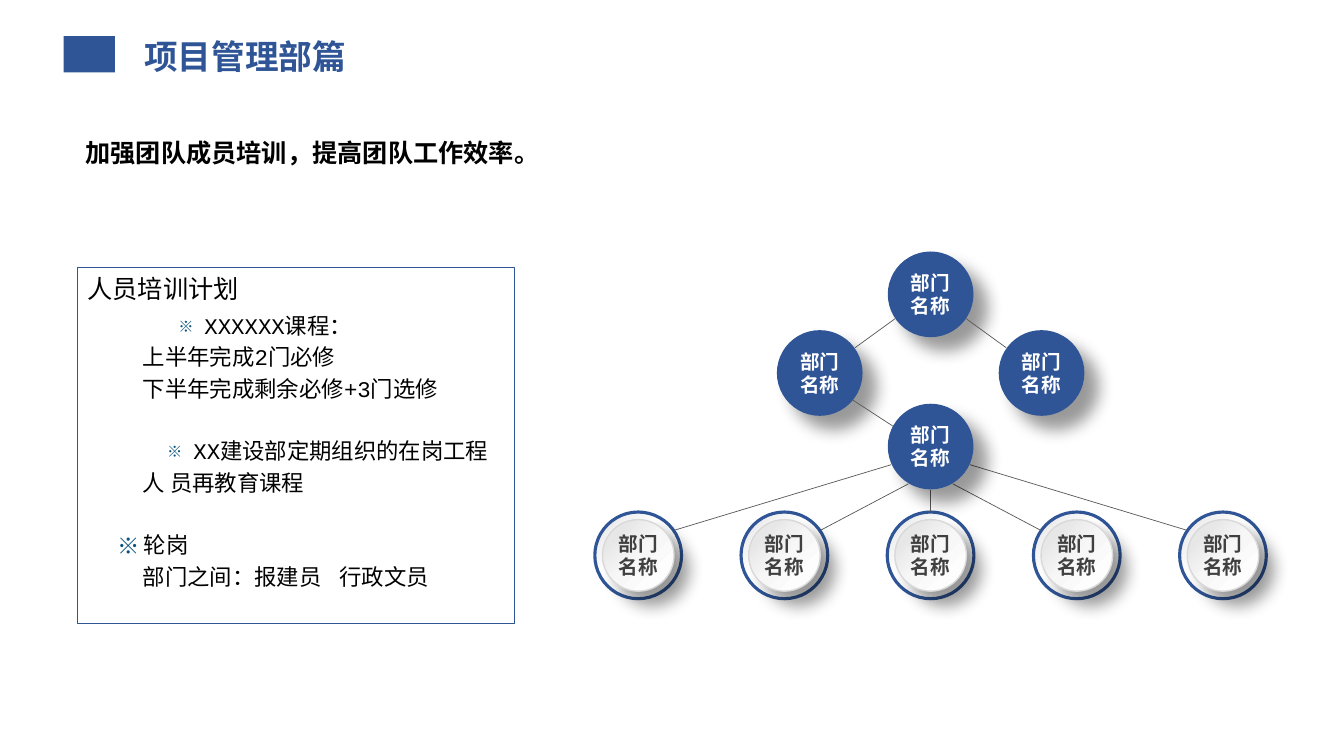
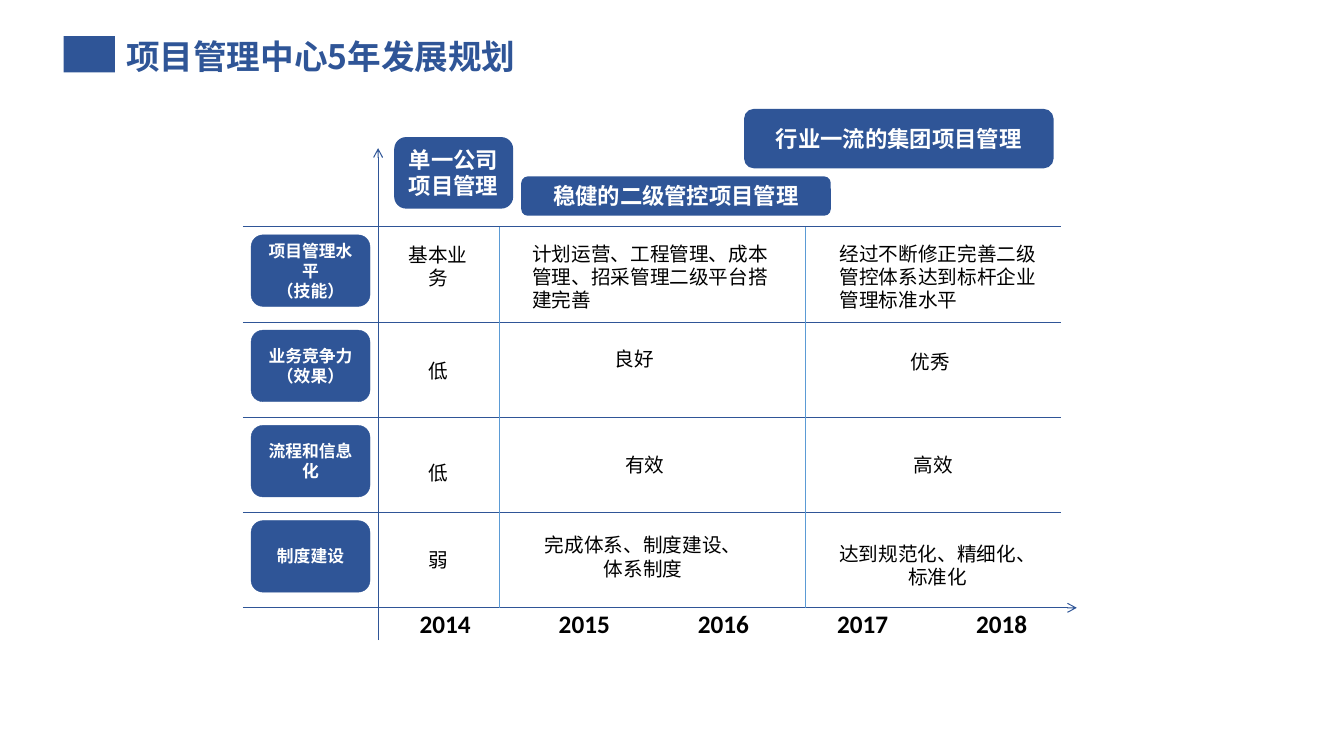
from lxml import etree
from pptx import Presentation
from pptx.dml.color import RGBColor
from pptx.enum.shapes import MSO_CONNECTOR, MSO_SHAPE
from pptx.enum.text import MSO_ANCHOR, MSO_AUTO_SIZE, PP_ALIGN
from pptx.oxml import parse_xml
from pptx.oxml.ns import nsdecls, qn
from pptx.util import Inches, Pt

STRAIGHT = MSO_CONNECTOR.STRAIGHT
RECTANGLE, ROUNDED, OVAL = MSO_SHAPE.RECTANGLE, MSO_SHAPE.ROUNDED_RECTANGLE, MSO_SHAPE.OVAL
TOP, MIDDLE = MSO_ANCHOR.TOP, MSO_ANCHOR.MIDDLE
LEFT, CENTER = PP_ALIGN.LEFT, PP_ALIGN.CENTER
FIXED_SIZE = MSO_AUTO_SIZE.NONE

BLUE = RGBColor(0x2F, 0x55, 0x97)
LIGHT_BLUE = RGBColor(0x5B, 0x9B, 0xD5)
MARK_BLUE = RGBColor(0x08, 0x51, 0x7E)
WHITE = RGBColor(0xFF, 0xFF, 0xFF)
BLACK = RGBColor(0x00, 0x00, 0x00)
DARK_GRAY = RGBColor(0x40, 0x40, 0x40)
LINK_GRAY = RGBColor(0x59, 0x59, 0x59)
EDGE_GRAY = RGBColor(0xD9, 0xD9, 0xD9)
RING_STOPS = [(10, "E9E9E9"), (41, "FFFFFF"), (100, "FFFFFF")]
DISC_STOPS = [(20, "FDFDFD"), (49, "F7F7F7"), (80, "E7E7E7")]

SANS, CALIBRI, COURIER = "Noto Sans CJK SC", "Calibri", "Courier New"
LINE_RATIO = 1.18


class Deck:
    """Holds the shared style and draws elements on the current slide."""

    def __init__(self):
        self.presentation = Presentation()
        self.presentation.slide_width = Inches(13.33)
        self.presentation.slide_height = Inches(7.5)
        self.slide = None

    def add_slide(self, heading, left):
        layout = self.presentation.slide_layouts[5]
        self.slide = self.presentation.slides.add_slide(layout)
        title = self.slide.shapes.title
        title.left, title.top = Inches(left), Inches(0.31)
        title.width, title.height = Inches(5), Inches(0.5)
        self.set_text(title, heading, 24, BLUE, bold=True, align=LEFT)
        self.shape(RECTANGLE, 0.63, 0.36, 0.51, 0.36, fill=BLUE)

    def format_paragraph(self, paragraph, size, color, font, bold, align, spacing=None):
        paragraph.alignment = align
        paragraph.line_spacing = Pt(spacing or round(size * LINE_RATIO, 1))
        for run in paragraph.runs:
            run.font.size, run.font.bold, run.font.name = Pt(size), bold, font
            run.font.color.rgb = color
            latin = run.font._element.find(qn("a:latin"))
            latin.addnext(parse_xml(f'<a:ea {nsdecls("a")} typeface="{SANS}"/>'))

    def set_text(self, shape, text, size, color, font=SANS, bold=False,
                 align=CENTER, anchor=MIDDLE, inset=None):
        frame = shape.text_frame
        frame.text = text
        frame.word_wrap, frame.auto_size = True, FIXED_SIZE
        frame.vertical_anchor = anchor
        if inset is not None:
            frame.margin_left = frame.margin_right = Inches(inset)
            frame.margin_top = frame.margin_bottom = Inches(inset)
        for paragraph in frame.paragraphs:
            self.format_paragraph(paragraph, size, color, font, bold, align)

    def text(self, text, left, top, width, height, size, **style):
        box = self.slide.shapes.add_textbox(
            Inches(left), Inches(top), Inches(width), Inches(height))
        self.set_text(box, text, size, BLACK, **style)

    def shape(self, kind, left, top, width, height, fill=None, line=None, weight=0.75):
        shape = self.slide.shapes.add_shape(
            kind, Inches(left), Inches(top), Inches(width), Inches(height))
        shape.shadow.inherit = False
        if fill is None:
            shape.fill.background()
        else:
            shape.fill.solid()
            shape.fill.fore_color.rgb = fill
        if line is None:
            shape.line.fill.background()
        else:
            shape.line.color.rgb, shape.line.width = line, Pt(weight)
        return shape

    def circle(self, center_x, center_y, diameter, **style):
        return self.shape(OVAL, center_x - diameter / 2, center_y - diameter / 2,
                          diameter, diameter, **style)

    def gradient(self, shape, stops, angle):
        marks = "".join(f'<a:gs pos="{place * 1000}"><a:srgbClr val="{color}"/></a:gs>'
                        for place, color in stops)
        no_fill = shape.element.spPr.find(qn("a:noFill"))
        no_fill.addnext(parse_xml(
            f'<a:gradFill {nsdecls("a")} rotWithShape="1"><a:gsLst>{marks}</a:gsLst>'
            f'<a:lin ang="{angle * 60000}" scaled="0"/></a:gradFill>'))
        shape.element.spPr.remove(no_fill)

    def shadow(self, shape):
        effects = shape.element.spPr.find(qn("a:effectLst"))
        effects.append(parse_xml(
            f'<a:outerShdw {nsdecls("a")} blurRad="{Pt(12)}" dist="{Pt(14)}" '
            f'dir="{45 * 60000}" algn="tl" rotWithShape="0"><a:srgbClr val="000000">'
            '<a:alpha val="40000"/></a:srgbClr></a:outerShdw>'))

    def department(self, center_x, center_y, leaf=False):
        if leaf:
            node = self.circle(center_x, center_y, 0.71, line=EDGE_GRAY, weight=1)
            self.gradient(node, DISC_STOPS, 225)
        else:
            node = self.circle(center_x, center_y, 0.85, fill=BLUE)
        self.shadow(node)
        self.set_text(node, "部门\n名称", 14, DARK_GRAY if leaf else WHITE, bold=True, inset=0)

    def label(self, text, left, top, width, height, size, line=None):
        box = self.shape(ROUNDED, left, top, width, height, BLUE, line, 0.25)
        self.set_text(box, text, size, WHITE, bold=True)

    def line(self, start_x, start_y, end_x, end_y, color=BLUE, weight=0.75, arrow=False):
        connector = self.slide.shapes.add_connector(
            STRAIGHT, Inches(start_x), Inches(start_y), Inches(end_x), Inches(end_y))
        connector.line.color.rgb, connector.line.width = color, Pt(weight)
        properties = connector.element.spPr
        if arrow:
            etree.SubElement(properties.find(qn("a:ln")), qn("a:tailEnd"), type="arrow")
        etree.SubElement(properties, qn("a:effectLst"))

    def bullet(self, paragraph, percent):
        properties = paragraph._p.get_or_add_pPr()
        color = etree.SubElement(properties, qn("a:buClr"))
        etree.SubElement(color, qn("a:srgbClr"), val=str(MARK_BLUE))
        etree.SubElement(properties, qn("a:buSzPct"), val=str(percent * 1000))
        etree.SubElement(properties, qn("a:buFont"), typeface=SANS)
        etree.SubElement(properties, qn("a:buChar"), char="※")

    def tab_stop(self, paragraph, position):
        stops = etree.SubElement(paragraph._p.get_or_add_pPr(), qn("a:tabLst"))
        etree.SubElement(stops, qn("a:tab"), pos=str(Inches(position)), algn="l")

    def training_panel(self, heading, lines):
        panel = self.shape(RECTANGLE, 0.77, 2.65, 4.33, 3.54, line=BLUE)
        self.set_text(panel, heading, 18, BLACK, COURIER, align=LEFT, anchor=TOP)
        panel.text_frame.paragraphs[0].line_spacing = Pt(22.4)
        for text, indent, mark_percent, gap in lines:
            paragraph = panel.text_frame.add_paragraph()
            paragraph.text = text
            properties = paragraph._p.get_or_add_pPr()
            hanging = 0.26 if mark_percent else -indent
            properties.set("marL", str(Inches(indent if mark_percent else 0)))
            properties.set("indent", str(-Inches(hanging)))
            if mark_percent:
                self.bullet(paragraph, mark_percent)
            if "\t" in text:
                self.tab_stop(paragraph, 2.9)
            paragraph.space_before = Pt(gap)
            self.format_paragraph(paragraph, 16, BLACK, COURIER, False, LEFT, 22.4)


def build_training(deck):
    deck.add_slide("项目管理部篇", 1.33)
    deck.text("加强团队成员培训，提高团队工作效率。", 0.75, 1.31, 4.72, 0.41, 18,
              font=COURIER, bold=True, align=LEFT)
    deck.training_panel("人员培训计划", [
        ("XXXXXX课程：", 1.16, 68, 3),
        ("上半年完成2门必修", 0.55, None, 0),
        ("下半年完成剩余必修+3门选修", 0.55, None, 0),
        ("XX建设部定期组织的在岗工程", 1.05, 68, 22.4),
        ("人 员再教育课程", 0.55, None, 0),
        ("轮岗", 0.56, 100, 22.4),
        ("部门之间：报建员\t行政文员", 0.55, None, 0),
    ])

    axis, leaf_y = 9.23, 5.51
    leaves = [axis + 1.45 * step for step in range(-2, 3)]
    for leaf_x in leaves:
        ring = deck.circle(leaf_x, leaf_y, 0.86, line=BLUE, weight=2.25)
        deck.gradient(ring, RING_STOPS, 45)
    for offset, center_y in ((-1.1, 3.7), (1.1, 3.7), (0, 2.92)):
        deck.department(axis + offset, center_y)
    for near, near_y, far, far_y in ((0.35, 3.16, 0.75, 3.45), (0.39, 4.61, 2.54, 5.26),
                                     (0.22, 4.8, 1.09, 5.26)):
        for side in (-1, 1):
            deck.line(axis + side * near, near_y, axis + side * far, far_y, LINK_GRAY, 0.5)
    deck.line(axis - 0.77, 3.97, axis - 0.37, 4.23, LINK_GRAY, 0.5)
    deck.line(axis, 4.86, axis, 5.08, LINK_GRAY, 0.5)
    deck.department(axis, 4.43)
    for leaf_x in leaves:
        deck.department(leaf_x, leaf_y, leaf=True)


def build_plan(deck):
    deck.add_slide("项目管理中心5年发展规划", 1.15)
    grid_left, grid_right, grid_top, grid_bottom = 2.41, 10.52, 2.25, 6.03
    rows = ["项目管理水平\n（技能）", "业务竞争力\n（效果）", "流程和信息化", "制度建设"]
    row_height = (grid_bottom - grid_top) / len(rows)
    for index, name in enumerate(rows):
        row_top = grid_top + index * row_height
        deck.line(grid_left, row_top, grid_right, row_top)
        deck.label(name, 2.49, row_top + 0.08, 1.18, 0.71, 12, BLUE)
    deck.line(grid_left, grid_bottom, 10.68, grid_bottom, arrow=True)
    deck.line(3.75, 6.35, 3.75, 1.47, arrow=True)
    for column_x in (4.95, 7.99):
        deck.line(column_x, grid_top, column_x, grid_bottom, LIGHT_BLUE, 0.5)

    for stage in (("单一公司项目管理", 3.91, 1.36, 1.18, 0.71),
                  ("稳健的二级管控项目管理", 5.17, 1.75, 3.07, 0.39),
                  ("行业一流的集团项目管理", 7.38, 1.08, 3.07, 0.59)):
        deck.label(*stage, 16)
    for index in range(5):
        deck.text(str(2014 + index), 4.02 + 1.38 * index, 5.95, 0.79, 0.47, 18,
                  font=CALIBRI, bold=True)

    for cell in (("基本业务", 3.91, 2.41, 0.87, 0.47),
                 ("低", 3.91, 3.44, 0.87, 0.47),
                 ("低", 3.91, 4.46, 0.87, 0.47),
                 ("弱", 3.91, 5.32, 0.87, 0.47),
                 ("良好", 5.8, 3.33, 0.98, 0.47),
                 ("有效", 5.41, 4.38, 1.97, 0.47),
                 ("完成体系、制度建设、体系制度", 5.24, 5.09, 2.28, 0.87),
                 ("优秀", 8.16, 3.36, 2.13, 0.47),
                 ("高效", 7.99, 4.14, 2.53, 0.94),
                 ("达到规范化、精细化、标准化", 8.16, 5.17, 2.28, 0.87)):
        deck.text(*cell, 14)
    for goal in (("计划运营、工程管理、成本管理、招采管理二级平台搭建完善", 5.18, 2.34, 2.58, 0.81),
                 ("经过不断修正完善二级管控体系达到标杆企业管理标准水平", 8.23, 2.34, 2.27, 0.81)):
        deck.text(*goal, 14, font=CALIBRI, align=LEFT)


def main():
    deck = Deck()
    build_training(deck)
    build_plan(deck)
    deck.presentation.save("out.pptx")


if __name__ == "__main__":
    main()
